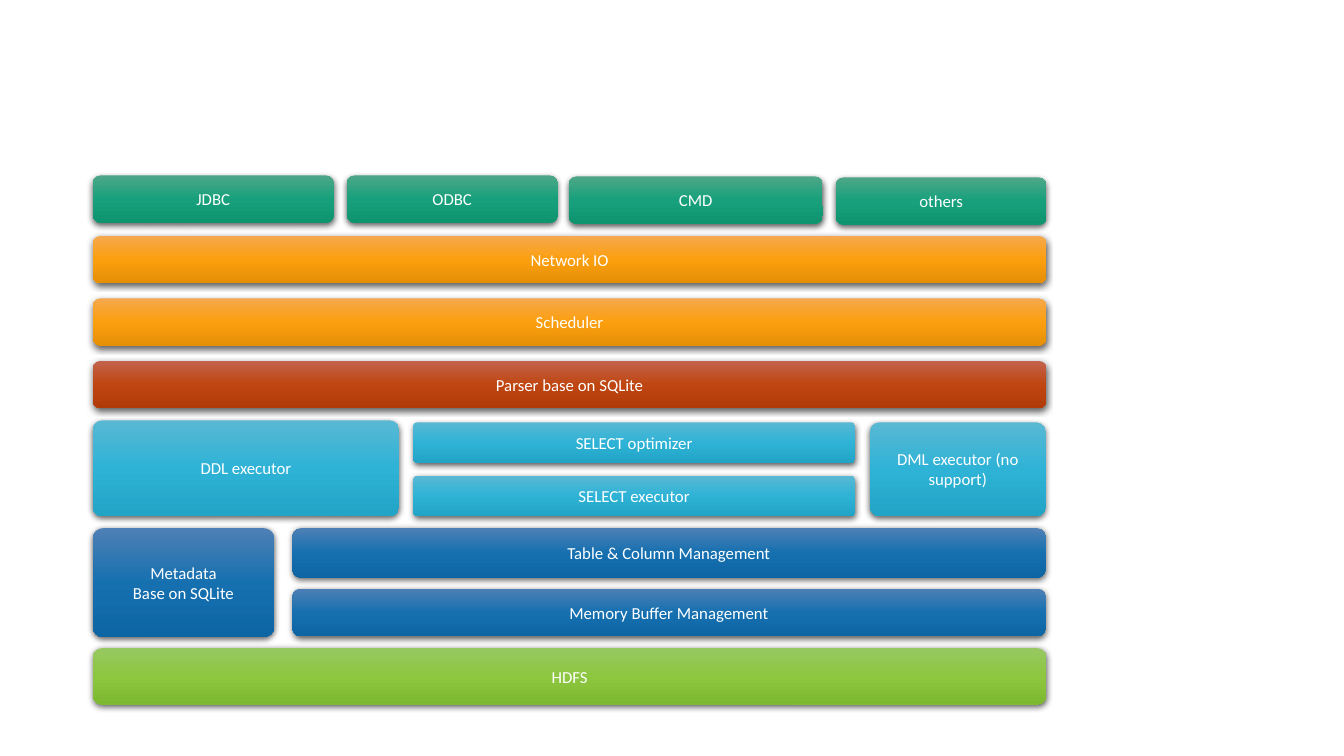
from copy import deepcopy

from lxml import etree
from pptx import Presentation
from pptx.dml.color import RGBColor
from pptx.enum.shapes import MSO_SHAPE
from pptx.enum.text import MSO_ANCHOR, PP_ALIGN
from pptx.oxml.ns import qn
from pptx.util import Inches, Pt

ROUNDED = MSO_SHAPE.ROUNDED_RECTANGLE
MIDDLE = MSO_ANCHOR.MIDDLE
CENTER = PP_ALIGN.CENTER

WHITE = RGBColor(0xFF, 0xFF, 0xFF)
BLACK = RGBColor(0x00, 0x00, 0x00)
GREEN = (RGBColor(0x98, 0xC8, 0x62), RGBColor(0x8C, 0xC7, 0x3F), RGBColor(0x7D, 0xB8, 0x31))
BLUE = (RGBColor(0x4E, 0x80, 0xB5), RGBColor(0x16, 0x70, 0xB0), RGBColor(0x0D, 0x65, 0xA3))
RUST = (RGBColor(0xC2, 0x63, 0x4D), RGBColor(0xBF, 0x46, 0x11), RGBColor(0xB1, 0x3B, 0x08))
CYAN = (RGBColor(0x59, 0xB8, 0xD4), RGBColor(0x2E, 0xB3, 0xD6), RGBColor(0x21, 0xA4, 0xC6))
ORANGE = (RGBColor(0xF5, 0xA8, 0x4E), RGBColor(0xFC, 0x9F, 0x0E), RGBColor(0xE5, 0x8F, 0x07))
TEAL = (RGBColor(0x4E, 0xA7, 0x88), RGBColor(0x17, 0xA0, 0x7B), RGBColor(0x0F, 0x94, 0x70))

LABEL_FONT = {"name": "Calibri", "size": Pt(12), "bold": False}
LEFT = 0.92
FULL_WIDTH = 9.46
BAR_HEIGHT = 0.47
STORAGE_LEFT, STORAGE_WIDTH = 2.9, 7.47
SELECT_LEFT, SELECT_WIDTH, SELECT_HEIGHT = 4.1, 4.38, 0.4
DEFAULT_CORNER, SMALL_CORNER = 0.16667, 0.097

CLIENTS = [
    ("JDBC", LEFT, 1.74, 2.39),
    ("ODBC", 3.44, 1.74, 2.09),
    ("CMD", 5.64, 1.75, 2.52),
    ("others", 8.29, 1.76, 2.09),
]
PIPELINE = [
    ("Network IO", 2.34, BAR_HEIGHT, ORANGE),
    ("Scheduler", 2.96, BAR_HEIGHT, ORANGE),
    ("Parser base on SQLite", 3.58, BAR_HEIGHT, RUST),
    ("HDFS", 6.43, 0.56, GREEN),
]
EXECUTORS = [
    ("DDL executor", LEFT, 4.17, 3.04, 0.95),
    ("SELECT optimizer", SELECT_LEFT, 4.19, SELECT_WIDTH, SELECT_HEIGHT),
    ("SELECT executor", SELECT_LEFT, 4.72, SELECT_WIDTH, SELECT_HEIGHT),
    ("DML executor (no support)", 8.63, 4.19, 1.74, 0.93),
]
STORAGE = [
    ("Table & Column Management", 5.24, 0.49),
    ("Memory Buffer Management", 5.84, BAR_HEIGHT),
]


def fill_gradient(block, colors):
    block.fill.gradient()
    block.fill.gradient_angle = 270
    stop_list = block.element.spPr.find(qn("a:gradFill")).find(qn("a:gsLst"))
    stop_list.insert(1, deepcopy(stop_list[0]))
    for stop, position, color in zip(block.fill.gradient_stops, (0, 0.5, 1), colors):
        stop.position = position
        stop.color.rgb = color


def add_shadow(block):
    block.shadow.inherit = False
    effects = block.element.spPr.find(qn("a:effectLst"))
    shadow = etree.SubElement(
        effects, qn("a:outerShdw"), blurRad=str(Pt(4.5)), dist=str(Pt(1.5)),
        dir="5400000", algn="ctr", rotWithShape="0")
    shadow_color = etree.SubElement(shadow, qn("a:srgbClr"), val=str(BLACK))
    etree.SubElement(shadow_color, qn("a:alpha"), val="63000")


def write_label(block, label):
    frame = block.text_frame
    frame.word_wrap = True
    frame.vertical_anchor = MIDDLE
    frame.text = label
    for paragraph in frame.paragraphs:
        paragraph.alignment = CENTER
        for attribute, value in LABEL_FONT.items():
            setattr(paragraph.font, attribute, value)
        paragraph.font.color.rgb = WHITE


def add_block(stack, label, left, top, width, height, colors, corner=DEFAULT_CORNER):
    block = stack.shapes.add_shape(
        ROUNDED, Inches(left), Inches(top), Inches(width), Inches(height))
    block.adjustments[0] = corner
    fill_gradient(block, colors)
    block.line.fill.background()
    add_shadow(block)
    write_label(block, label)


def main():
    presentation = Presentation()
    presentation.slide_width = Inches(13.33)
    presentation.slide_height = Inches(7.5)
    slide = presentation.slides.add_slide(presentation.slide_layouts[6])
    stack = slide.shapes.add_group_shape()

    for label, left, top, width in CLIENTS:
        add_block(stack, label, left, top, width, BAR_HEIGHT, TEAL)
    for label, top, height, colors in PIPELINE:
        add_block(stack, label, LEFT, top, FULL_WIDTH, height, colors)
    for label, left, top, width, height in EXECUTORS:
        add_block(stack, label, left, top, width, height, CYAN, SMALL_CORNER)
    add_block(stack, "Metadata\nBase on SQLite", LEFT, 5.24, 1.8, 1.08, BLUE, SMALL_CORNER)
    for label, top, height in STORAGE:
        add_block(stack, label, STORAGE_LEFT, top, STORAGE_WIDTH, height, BLUE)

    presentation.save("out.pptx")


if __name__ == "__main__":
    main()
